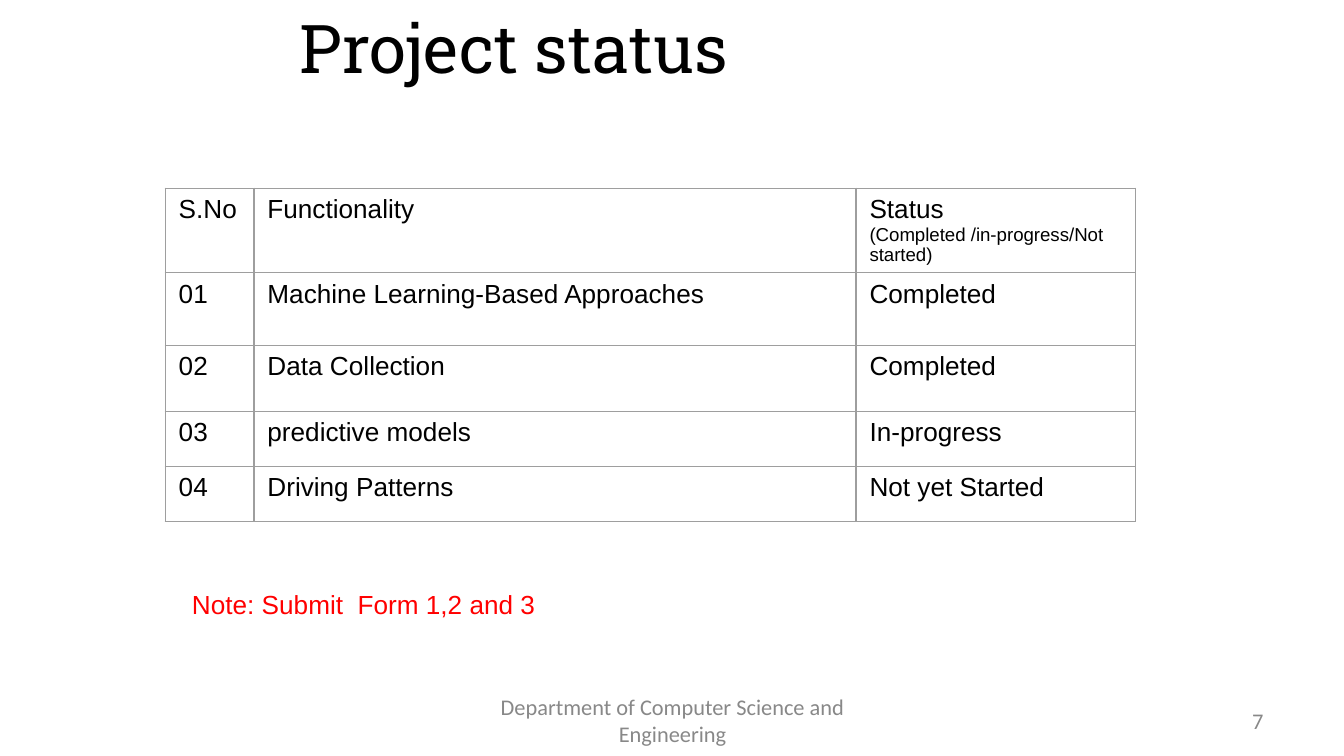
import dataclasses

import lxml.etree
import pptx
import pptx.dml.color
import pptx.enum.text
import pptx.oxml.ns
import pptx.util

Inches = pptx.util.Inches
Pt = pptx.util.Pt
Align = pptx.enum.text.PP_ALIGN
Anchor = pptx.enum.text.MSO_ANCHOR


@dataclasses.dataclass(frozen=True)
class Theme:
    ink: str = "000000"
    muted: str = "888888"
    alert: str = "FF0000"
    border: str = "9E9E9E"
    border_width: float = 0.75
    title_font: str = "Roboto Slab"
    body_font: str = "Arial"
    footer_font: str = "Calibri"
    title_size: int = 36
    body_size: int = 14
    footer_size: int = 12
    hint_size: int = 10


class StatusSlide:
    """Adds styled text and tables to one slide."""

    def __init__(self, slide, theme):
        self.slide = slide
        self.theme = theme

    def style(self, paragraph, font, size, color, align=Align.LEFT):
        paragraph.alignment = align
        paragraph.font.name = font
        paragraph.font.size = Pt(size)
        paragraph.font.color.rgb = pptx.dml.color.RGBColor.from_string(color)

    def text(self, words, area, font, size, color, align=Align.LEFT, anchor=Anchor.MIDDLE):
        box = self.slide.shapes.add_textbox(*map(Inches, area))
        frame = box.text_frame
        frame.word_wrap = True
        frame.vertical_anchor = anchor
        paragraph = frame.paragraphs[0]
        paragraph.text = words
        self.style(paragraph, font, size, color, align)

    def footer(self, words, area, align):
        theme = self.theme
        self.text(words, area, theme.footer_font, theme.footer_size, theme.muted, align)

    def borders(self, cell):
        properties = cell._tc.get_or_add_tcPr()
        name = pptx.oxml.ns.qn
        for index, side in enumerate(("a:lnL", "a:lnR", "a:lnT", "a:lnB")):
            line = lxml.etree.Element(name(side), w=str(Pt(self.theme.border_width)))
            fill = lxml.etree.SubElement(line, name("a:solidFill"))
            lxml.etree.SubElement(fill, name("a:srgbClr"), val=self.theme.border)
            properties.insert(index, line)

    def table(self, rows, left, top, widths, heights):
        theme = self.theme
        area = map(Inches, (left, top, sum(widths), sum(heights)))
        table = self.slide.shapes.add_table(len(rows), len(widths), *area).table
        table.first_row = False
        table.horz_banding = False
        for column, width in zip(table.columns, widths):
            column.width = Inches(width)
        for row, height, entries in zip(table.rows, heights, rows):
            row.height = Inches(height)
            for cell, words in zip(row.cells, entries):
                cell.text = words
                cell.margin_bottom = Inches(0.01)
                cell.fill.background()
                self.borders(cell)
                sizes = (theme.body_size, theme.hint_size)
                for paragraph, size in zip(cell.text_frame.paragraphs, sizes):
                    self.style(paragraph, theme.body_font, size, theme.ink)


def main():
    deck = pptx.Presentation()
    deck.slide_width = Inches(10)
    deck.slide_height = deck.slide_width * 9 // 16
    theme = Theme()
    page = StatusSlide(deck.slides.add_slide(deck.slide_layouts[6]), theme)

    page.text("Project status", (0.48, 0, 6.69, 0.69), theme.title_font,
              theme.title_size, theme.ink, Align.CENTER)
    rows = [
        ("S.No", "Functionality", "Status\n(Completed /in-progress/Not started)"),
        ("01", "Machine Learning-Based Approaches", "Completed"),
        ("02", "Data Collection", "Completed"),
        ("03", "predictive models", "In-progress"),
        ("04", "Driving Patterns", "Not yet Started"),
    ]
    page.table(rows, 1.23, 1.4, (0.66, 4.48, 2.08), (0.63, 0.54, 0.49, 0.41, 0.41))
    page.text("Note: Submit  Form 1,2 and 3", (1.33, 4.33, 3.3, 0.34), theme.body_font,
              theme.body_size, theme.alert, anchor=Anchor.TOP)
    page.footer("Department of Computer Science and Engineering",
                (3.42, 5.21, 3.17, 0.3), Align.CENTER)
    page.footer("7", (7.17, 5.21, 2.33, 0.3), Align.RIGHT)
    deck.save("out.pptx")


if __name__ == "__main__":
    main()
